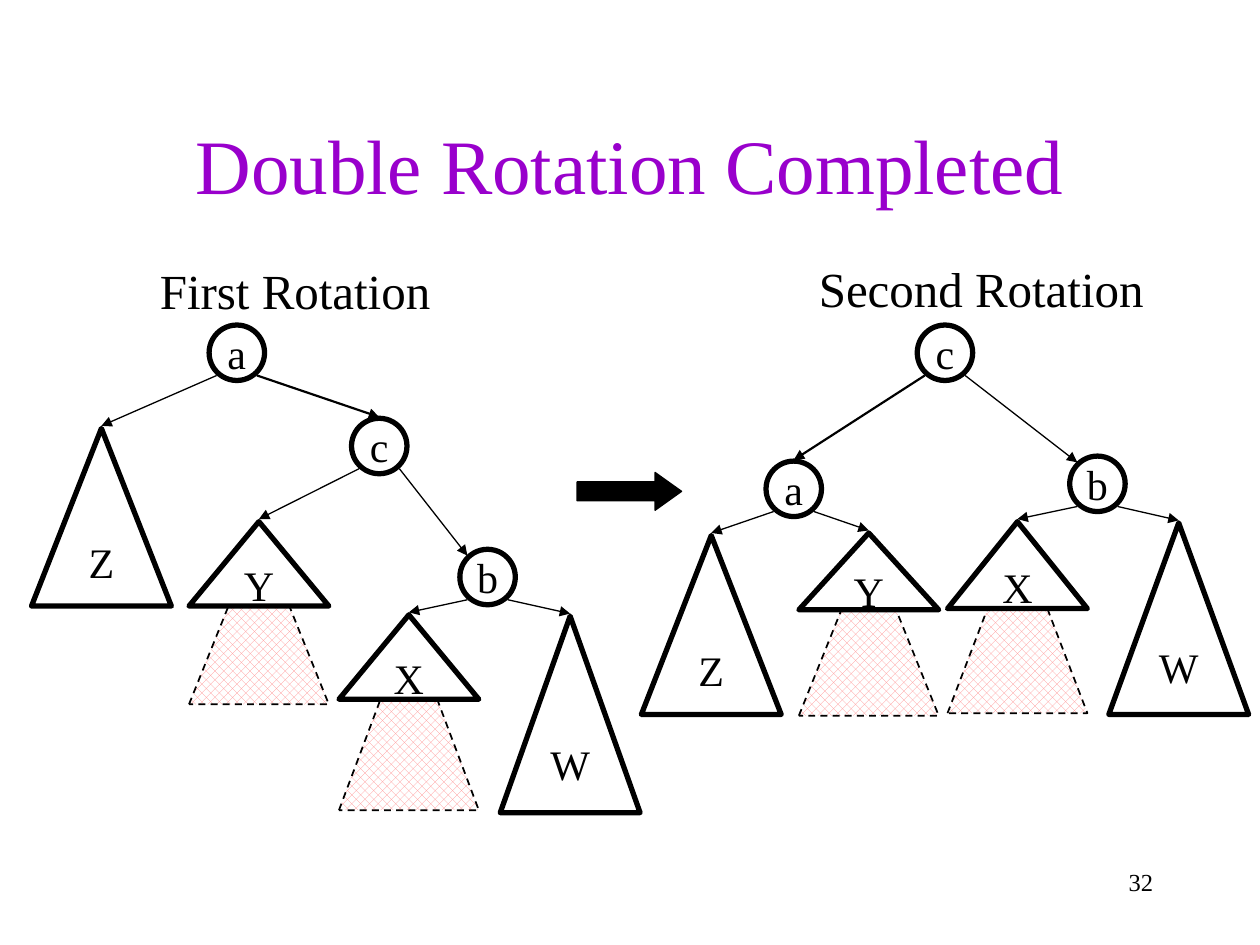
import pptx
import pptx.dml.color
import pptx.enum.dml
import pptx.enum.shapes
import pptx.enum.text
import pptx.oxml
import pptx.oxml.ns
import pptx.util
from dataclasses import dataclass

Inches = pptx.util.Inches
Pt = pptx.util.Pt
Kind = pptx.enum.shapes.MSO_SHAPE
Align = pptx.enum.text.PP_ALIGN
Anchor = pptx.enum.text.MSO_ANCHOR


@dataclass
class Theme:
    """Colours, type sizes and measures of the slide."""
    font: str = "Times New Roman"
    ink: str = "000000"
    paper: str = "FFFFFF"
    title: str = "9900CC"
    hatch: str = "FF9191"
    title_size: int = 44
    head_size: int = 28
    label_size: int = 24
    page_size: int = 14
    thick: float = 3
    medium: float = 1.25
    thin: float = 0.75
    node: float = 0.44
    base: float = 1.11


class Sketch:
    """Draws tree parts on the current slide."""

    def __init__(self, slide, theme):
        """Keep the slide and its style."""
        self.slide, self.theme = slide, theme

    def tint(self, code):
        """Turn a hex code into a colour."""
        return pptx.dml.color.RGBColor.from_string(code)

    def label(self, frame, text, size, color, align):
        """Set one styled paragraph."""
        line = frame.paragraphs[0]
        line.text, line.alignment = text, align
        line.font.name, line.font.size = self.theme.font, Pt(size)
        line.font.color.rgb = self.tint(color)

    def text(self, text, box, size, color=None, align=Align.LEFT, wrap=True, anchor=Anchor.TOP):
        """Add a text box."""
        frame = self.slide.shapes.add_textbox(*map(Inches, box)).text_frame
        frame.word_wrap, frame.vertical_anchor = wrap, anchor
        self.label(frame, text, size, color or self.theme.ink, align)

    def shape(self, kind, box, width, fill=None, text=""):
        """Add an outlined shape with an optional label."""
        shape = self.slide.shapes.add_shape(kind, *map(Inches, box))
        shape.shadow.inherit = False
        shape.line.color.rgb = self.tint(self.theme.ink)
        shape.line.width = Pt(width)
        if fill:
            shape.fill.solid()
            shape.fill.fore_color.rgb = self.tint(fill)
        else:
            shape.fill.background()
        if text:
            frame = shape.text_frame
            frame.word_wrap, frame.vertical_anchor = False, Anchor.MIDDLE
            self.label(frame, text, self.theme.label_size, self.theme.ink, Align.CENTER)
        return shape

    def node(self, name, x, y):
        """Add a round tree node."""
        size = self.theme.node
        self.shape(Kind.OVAL, (x, y, size, size), self.theme.thick, text=name)

    def leaf(self, name, x, y, height, shade=None):
        """Add a subtree, with a hatched extension when shade is its height."""
        base = self.theme.base
        if shade:
            back = self.shape(Kind.ISOSCELES_TRIANGLE, (x, y + 0.07, base, shade), 1)
            back.line.dash_style = pptx.enum.dml.MSO_LINE.DASH
            back.fill.patterned()
            back.fill.pattern = pptx.enum.dml.MSO_PATTERN.PERCENT_50
            back.fill.fore_color.rgb = self.tint(self.theme.hatch)
            back.fill.back_color.rgb = self.tint(self.theme.paper)
        fill = self.theme.paper if shade else None
        self.shape(Kind.ISOSCELES_TRIANGLE, (x, y, base, height), self.theme.thick, fill, name)

    def link(self, start, end, width):
        """Add a line with an arrowhead at its end."""
        line = self.slide.shapes.add_connector(
            pptx.enum.shapes.MSO_CONNECTOR.STRAIGHT, *map(Inches, (*start, *end)))
        line.line.color.rgb = self.tint(self.theme.ink)
        line.line.width = Pt(width)
        space = pptx.oxml.ns.nsdecls("a")
        props = line._element.spPr
        props.find(pptx.oxml.ns.qn("a:ln")).append(
            pptx.oxml.parse_xml(f'<a:tailEnd {space} type="triangle"/>'))
        props.append(pptx.oxml.parse_xml(f"<a:effectLst {space}/>"))

    def tree(self, nodes, leaves, links):
        """Add links, then nodes and subtrees, placed by their top left corners."""
        theme = self.theme
        for head, side, child, bold in links:
            x, y = nodes[head]
            start = (x + (0.06 if side == "left" else theme.node - 0.06), y + 0.4)
            if child in leaves:
                left, top = leaves[child][:2]
                end = (left + theme.base / 2, top - 0.02)
            elif bold:
                left, top = nodes[child]
                end = (left + theme.node / 2, top - 0.01)
            else:
                left, top = nodes[child]
                end = (left + 0.06, top + 0.05)
            self.link(start, end, theme.medium if bold else theme.thin)
        for name, place in nodes.items():
            self.node(name, *place)
        for name, place in leaves.items():
            self.leaf(name, *place)


def main():
    """Build and save the slide."""
    deck = pptx.Presentation()
    deck.slide_width, deck.slide_height = Inches(10), Inches(7.5)
    theme = Theme()
    draw = Sketch(deck.slides.add_slide(deck.slide_layouts[6]), theme)
    draw.text("Double Rotation Completed", (0.75, 0.67, 8.5, 1.25), theme.title_size,
              theme.title, Align.CENTER, anchor=Anchor.MIDDLE)
    draw.tree(
        {"a": (1.66, 2.58), "c": (2.79, 3.32), "b": (3.65, 4.36)},
        {"Z": (0.25, 3.4, 1.41), "X": (2.69, 4.88, 0.67, 1.48),
         "Y": (1.5, 4.14, 0.67, 1.38), "W": (3.97, 4.89, 1.56)},
        [("a", "right", "c", True), ("a", "left", "Z", False),
         ("c", "right", "b", False), ("c", "left", "Y", False),
         ("b", "left", "X", False), ("b", "right", "W", False)])
    draw.tree(
        {"a": (6.08, 3.66), "c": (7.28, 2.58), "b": (8.49, 3.62)},
        {"Z": (5.09, 4.25, 1.42), "X": (7.52, 4.14, 0.69, 1.45),
         "Y": (6.34, 4.23, 0.61, 1.38), "W": (8.8, 4.15, 1.52)},
        [("c", "left", "a", True), ("a", "left", "Z", False),
         ("c", "right", "b", False), ("a", "right", "Y", False),
         ("b", "left", "X", False), ("b", "right", "W", False)])
    arrow = draw.shape(Kind.RIGHT_ARROW, (4.58, 3.75, 0.83, 0.3), theme.thin, theme.ink)
    arrow.adjustments[1] = 0.7
    draw.text("First Rotation", (1.17, 2.02, 2.35, 0.57), theme.head_size, wrap=False)
    draw.text("Second Rotation", (6.4, 2, 2.78, 0.57), theme.head_size, wrap=False)
    draw.text("32", (7.17, 6.83, 2.08, 0.5), theme.page_size, align=Align.RIGHT)
    deck.save("out.pptx")


if __name__ == "__main__":
    main()
